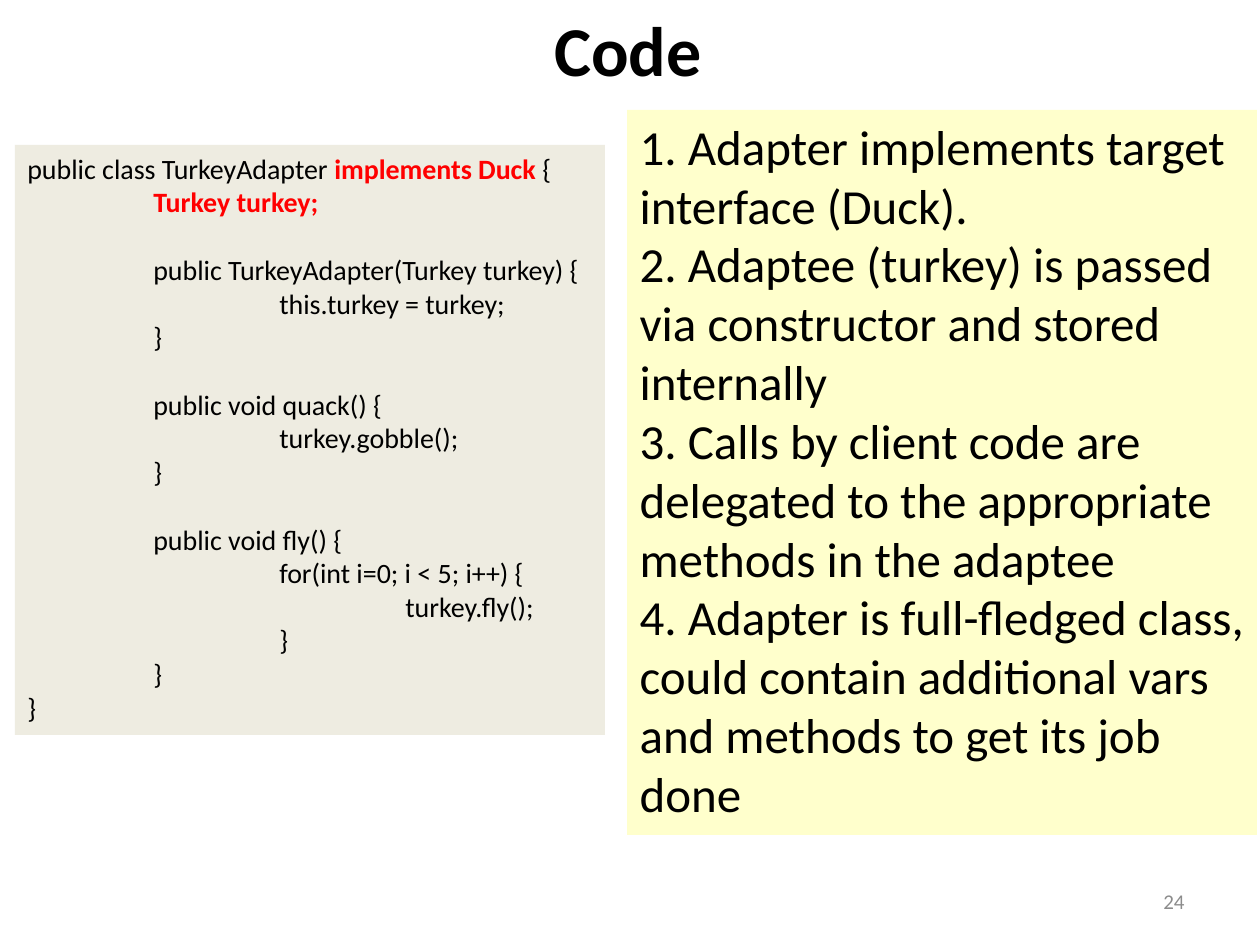
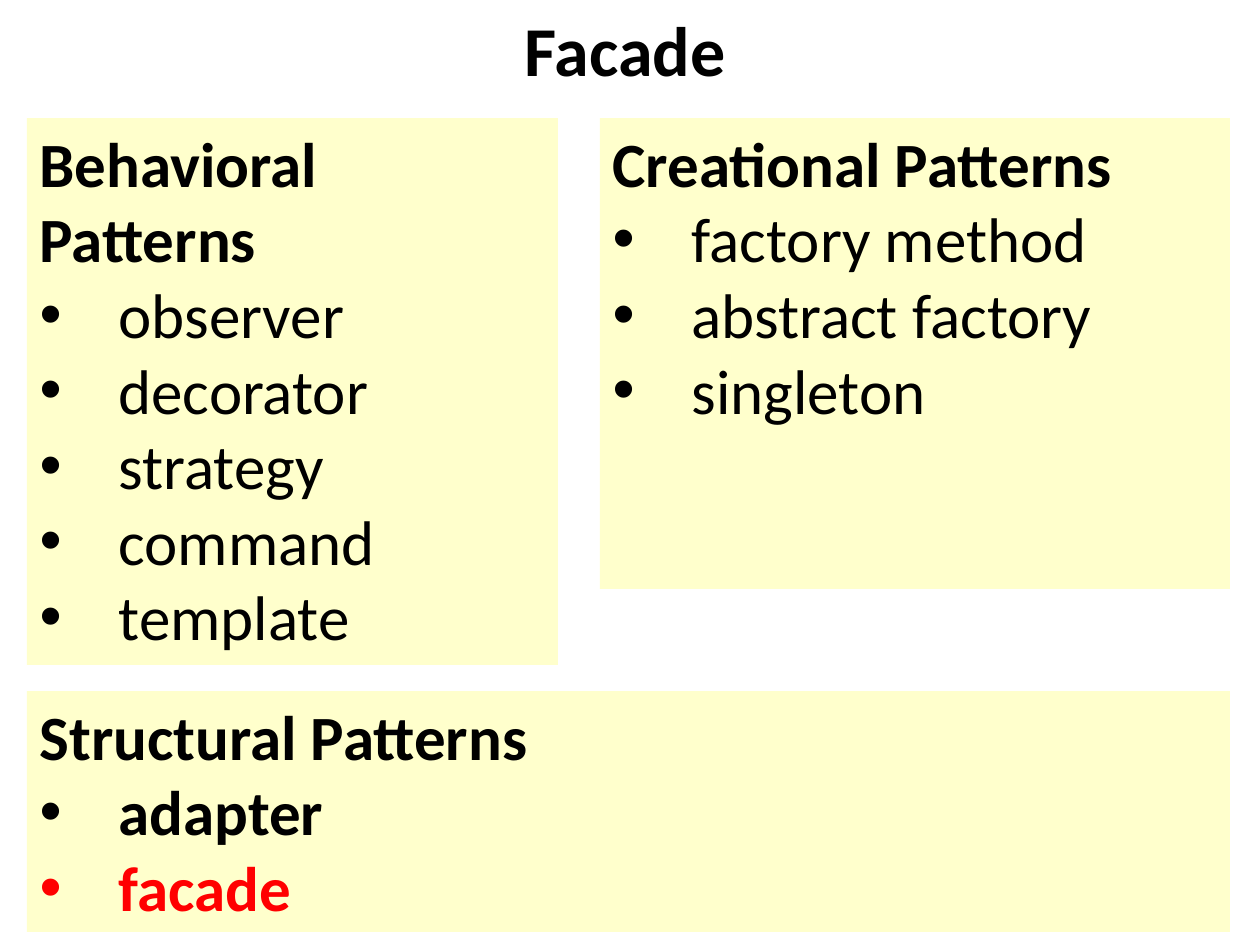
from lxml import etree
from pptx import Presentation
from pptx.dml import color
from pptx.enum import text
from pptx.oxml import ns
from pptx import util as u

PX = 914400 / 126
FONT = "Calibri"
BLACK, RED, GREY = "000000", "FF0000", "8C8C8C"
CODE_FILL, NOTE_FILL = "EEECE1", "FFFFCC"
TAB = 126
BULLET_INDENT = 79
CODE_SIZE = 16
CODE_GAP = 19.5  # height of one code line in points

# Each line: depth, pieces of (wording, is highlighted), starts a new block
CODE = [
    (0, [("public class TurkeyAdapter ", False), ("implements Duck ", True), ("{", False)], False),
    (1, [("Turkey turkey;", True)], False),
    (1, [("public TurkeyAdapter(Turkey turkey) {", False)], True),
    (2, [("this.turkey = turkey;", False)], False),
    (1, [("}", False)], False),
    (1, [("public void quack() {", False)], True),
    (2, [("turkey.gobble();", False)], False),
    (1, [("}", False)], False),
    (1, [("public void fly() {", False)], True),
    (2, [("for(int i=0; i < 5; i++) {", False)], False),
    (3, [("turkey.fly();", False)], False),
    (2, [("}", False)], False),
    (1, [("}", False)], False),
    (0, [("}", False)], False),
]

NOTES = [
    "1. Adapter implements target interface (Duck).",
    "2. Adaptee (turkey) is passed via constructor and stored internally",
    "3. Calls by client code are delegated to the appropriate methods in the adaptee",
    "4. Adapter is full-fledged class, could contain additional vars and methods to get its job done",
]

PLAIN, BOLD, CURRENT = {}, {"bold": True}, {"bold": True, "hue": RED}
PATTERNS = [
    ("Behavioral Patterns", (27, 118, 531, 547),
     [(name, PLAIN) for name in ("observer", "decorator", "strategy", "command", "template")]),
    ("Creational Patterns", (600, 118, 630, 471),
     [(name, PLAIN) for name in ("factory method", "abstract factory", "singleton")]),
    ("Structural Patterns", (27, 691, 1203, 241),
     [("adapter", BOLD), ("facade", CURRENT)]),
]


def emu(px):
    return u.Emu(round(px * PX))


def rgb(hue):
    return color.RGBColor.from_string(hue)


def set_frame(shape, box, fill=None, anchor=text.MSO_ANCHOR.TOP):
    """Place a shape, fill it and return its emptied text frame."""
    for side, px in zip(("left", "top", "width", "height"), box):
        setattr(shape, side, emu(px))
    if fill:
        shape.fill.solid()
        shape.fill.fore_color.rgb = rgb(fill)
    frame = shape.text_frame
    settings = {"word_wrap": True, "auto_size": text.MSO_AUTO_SIZE.NONE,
                "vertical_anchor": anchor}
    for key, value in settings.items():
        setattr(frame, key, value)
    return frame


def add_run(paragraph, words, size, hue=BLACK, bold=False):
    run = paragraph.add_run()
    run.text = words
    for key, value in {"name": FONT, "size": u.Pt(size), "bold": bold}.items():
        setattr(run.font, key, value)
    run.font.color.rgb = rgb(hue)


def add_paragraph(frame, indent=0, hanging=0, bullet=None, gap=0, align=text.PP_ALIGN.LEFT):
    """Use the empty first paragraph of a frame, or append one."""
    first = frame.paragraphs[0]
    paragraph = frame.add_paragraph() if first.runs else first
    for key, value in {"alignment": align, "space_before": u.Pt(gap),
                       "space_after": u.Pt(0)}.items():
        setattr(paragraph, key, value)
    props = paragraph._p.get_or_add_pPr()
    props.set("marL", str(emu(indent)))
    props.set("indent", str(emu(-hanging)))
    if bullet:
        etree.SubElement(props, ns.qn("a:buFont")).set("typeface", "Arial")
        etree.SubElement(props, ns.qn("a:buChar")).set("char", bullet)
    else:
        etree.SubElement(props, ns.qn("a:buNone"))
    return paragraph


def fill_title(slide, words, box):
    frame = set_frame(slide.shapes.title, box)
    add_run(add_paragraph(frame, align=text.PP_ALIGN.CENTER), words, 40, bold=True)


def add_code(slide, box):
    frame = set_frame(slide.shapes.add_textbox(0, 0, 0, 0), box, CODE_FILL)
    for depth, pieces, new_block in CODE:
        line = add_paragraph(frame, indent=depth * TAB, gap=CODE_GAP if new_block else 0)
        for words, highlighted in pieces:
            add_run(line, words, CODE_SIZE, RED if highlighted else BLACK, highlighted)


def fill_notes(body, box):
    frame = set_frame(body, box, NOTE_FILL)
    for note in NOTES:
        add_run(add_paragraph(frame), note, 28)


def fill_patterns(body, heading, box, members):
    frame = set_frame(body, box, NOTE_FILL)
    add_run(add_paragraph(frame), heading, 36, bold=True)
    for name, style in members:
        item = add_paragraph(frame, BULLET_INDENT, BULLET_INDENT, "•")
        add_run(item, name, 36, **style)


def add_page_number(slide, number, box):
    frame = set_frame(slide.shapes.add_textbox(0, 0, 0, 0), box,
                      anchor=text.MSO_ANCHOR.MIDDLE)
    add_run(add_paragraph(frame, align=text.PP_ALIGN.RIGHT), number, 12, GREY)


def build_code_slide(prs):
    slide = prs.slides.add_slide(prs.slide_layouts[1])
    fill_title(slide, "Code", (203, 0, 850, 97))
    add_code(slide, (15, 145, 590, 590))
    fill_notes(slide.placeholders[1], (627, 110, 630, 725))
    add_page_number(slide, "24", (903, 876, 294, 50))


def build_facade_slide(prs):
    slide = prs.slides.add_slide(prs.slide_layouts[4])
    fill_title(slide, "Facade", (422, 0, 406, 97))
    bodies = list(slide.placeholders)[1:]
    for body, pattern in zip(bodies, PATTERNS):
        fill_patterns(body, *pattern)
    for spare in bodies[len(PATTERNS):]:
        spare.element.getparent().remove(spare.element)


def main():
    prs = Presentation()
    prs.slide_width, prs.slide_height = emu(1260), emu(945)
    build_code_slide(prs)
    build_facade_slide(prs)
    prs.save("out.pptx")


if __name__ == "__main__":
    main()
